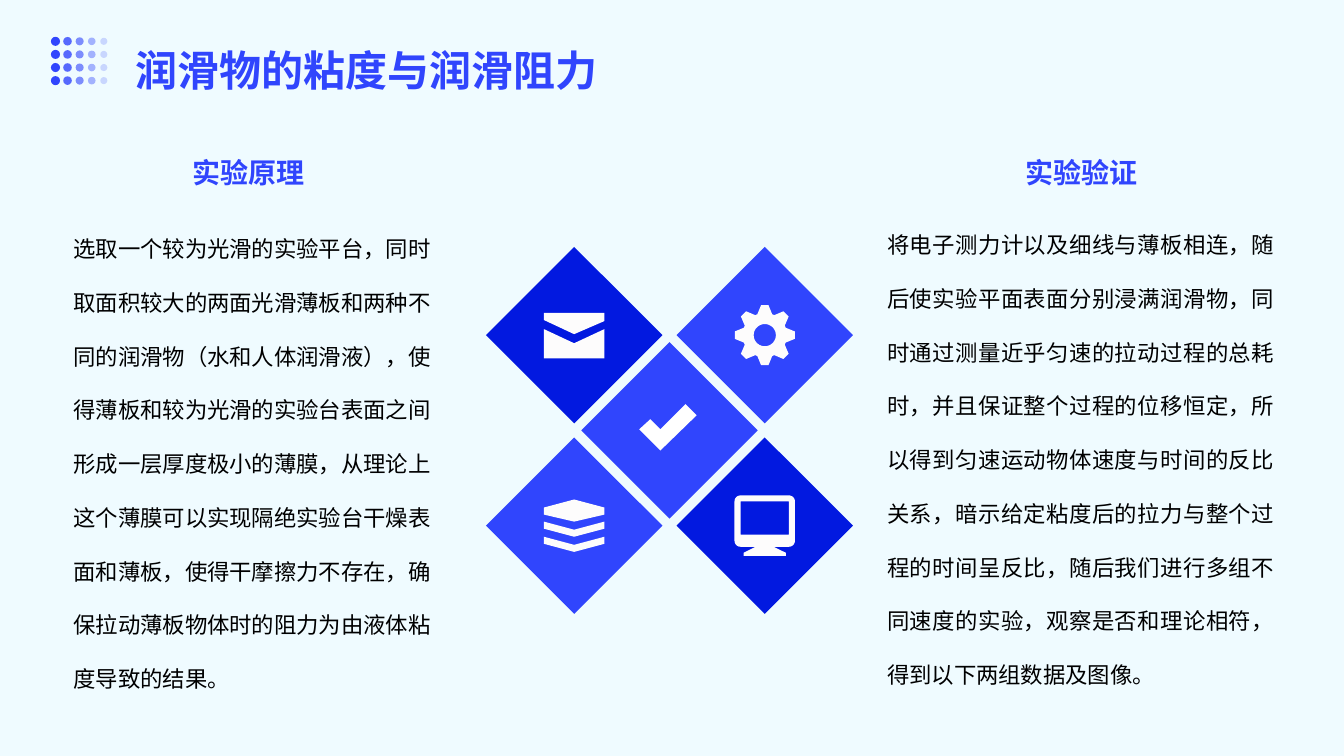
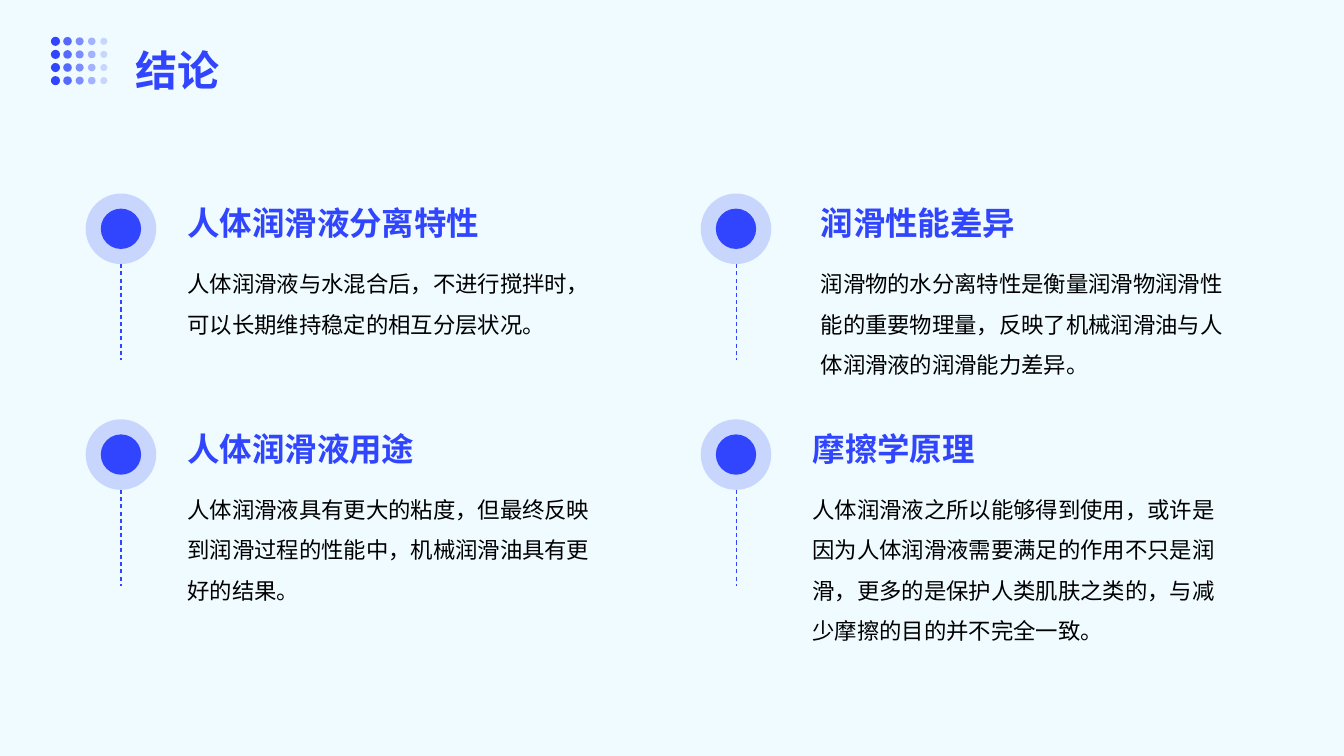
"""Build two slides on lubricant viscosity and the conclusions drawn from it."""
import math

from lxml import etree
from pptx import Presentation
from pptx import util as u
from pptx.dml.color import RGBColor
from pptx.enum import dml, shapes, text
from pptx.oxml.ns import qn

WIDTH, HEIGHT = 13.33, 7.5
FONT = "Noto Sans CJK SC"
BLUE, DEEP_BLUE, PALE, BLACK = "3045FD", "0219E0", "EFFBFF", "000000"
ICON_WHITE, WHITE = "FDFCFC", "FFFFFF"
WIDE_INSETS = (0.14, 0.14, 0.06, 0.14)
PLAIN_INSETS = (0.1, 0.05, 0.1, 0.05)
LEFT, CENTER, JUSTIFY = text.PP_ALIGN.LEFT, text.PP_ALIGN.CENTER, text.PP_ALIGN.JUSTIFY
TOP, MIDDLE = text.MSO_ANCHOR.TOP, text.MSO_ANCHOR.MIDDLE

EXPERIMENT_TITLE = "润滑物的粘度与润滑阻力"
EXPERIMENT_COLUMNS = [
    {"heading": "实验原理", "heading_left": 0.67, "box": (0.63, 2.02, 3.82, 4.87),
     "align": LEFT, "after": 0,
     "body": "选取一个较为光滑的实验平台，同时取面积较大的两面光滑薄板和两种不同的润滑物"
             "（水和人体润滑液），使得薄板和较为光滑的实验台表面之间形成一层厚度极小的薄膜，"
             "从理论上这个薄膜可以实现隔绝实验台干燥表面和薄板，使得干摩擦力不存在，"
             "确保拉动薄板物体时的阻力为由液体粘度导致的结果。"},
    {"heading": "实验验证", "heading_left": 8.93, "box": (8.7, 1.98, 4.04, 4.87),
     "align": JUSTIFY, "after": 10,
     "body": "将电子测力计以及细线与薄板相连，随后使实验平面表面分别浸满润滑物，"
             "同时通过测量近乎匀速的拉动过程的总耗时，并且保证整个过程的位移恒定，"
             "所以得到匀速运动物体速度与时间的反比关系，暗示给定粘度后的拉力与整个过程的时间呈反比，"
             "随后我们进行多组不同速度的实验，观察是否和理论相符，得到以下两组数据及图像。"},
]

CONCLUSION_TITLE = "结论"
CONCLUSIONS = [
    (0, 0, 1.72, "人体润滑液分离特性",
     "人体润滑液与水混合后，不进行搅拌时，可以长期维持稳定的相互分层状况。"),
    (0, 1, 1.72, "人体润滑液用途",
     "人体润滑液具有更大的粘度，但最终反映到润滑过程的性能中，机械润滑油具有更好的结果。"),
    (1, 0, 8.0, "润滑性能差异",
     "润滑物的水分离特性是衡量润滑物润滑性能的重要物理量，反映了机械润滑油与人体润滑液的润滑能力差异。"),
    (1, 1, 7.92, "摩擦学原理",
     "人体润滑液之所以能够得到使用，或许是因为人体润滑液需要满足的作用不只是润滑，"
     "更多的是保护人类肌肤之类的，与减少摩擦的目的并不完全一致。"),
]


def arc(radius, start, end, steps, center=(0, 0)):
    """Return points along an arc given in degrees."""
    angles = [math.radians(start + (end - start) * i / steps) for i in range(steps + 1)]
    return [(center[0] + radius * math.cos(a), center[1] + radius * math.sin(a)) for a in angles]


def gear_outline():
    """Return the outline of a gear with eight teeth."""
    profile = [(-7, 0.3), (7, 0.3), (19.5, 0.22), (25.5, 0.22)]
    return [arc(radius, 45 * tooth + angle, 0, 1)[0]
            for tooth in range(8) for angle, radius in profile]


def rectangle(left, top, right, bottom):
    """Return the corners of a rectangle."""
    return [(left, top), (right, top), (right, bottom), (left, bottom)]


def rounded_screen():
    """Return the rounded outline of a monitor."""
    corners = [(0.24, 0.15), (-0.24, 0.15), (-0.24, -0.24), (0.24, -0.24)]
    return [point for i, corner in enumerate(corners)
            for point in arc(0.06, 90 * i, 90 * i + 90, 6, corner)]


ENVELOPE = [[(0, -0.01), (0.3, -0.14), (0.3, -0.22), (-0.3, -0.22), (-0.3, -0.15)],
            [(0, 0.08), (-0.3, -0.06), (-0.3, 0.23), (0.3, 0.23), (0.3, -0.06)]]
STACK = [[(-0.3, y), (0, y + 0.08), (0.3, y), (0.3, y + 0.07), (0, y + 0.15), (-0.3, y + 0.07)]
         for y in (-0.04, 0.11)]
STACK.append([(-0.3, -0.18), (0, -0.26), (0.3, -0.18), (0.3, -0.11), (0, -0.04), (-0.3, -0.11)])
GEAR = [gear_outline(), arc(0.11, 360, 0, 36)]
MONITOR = [rounded_screen(), rectangle(-0.24, -0.24, 0.24, 0.09),
           [(-0.09, 0.21), (-0.21, 0.27), (-0.21, 0.3), (0.21, 0.3), (0.21, 0.27), (0.09, 0.21)]]
CHECK = [[(-0.19, -0.11), (-0.3, -0.01), (-0.09, 0.2), (0.27, -0.15), (0.16, -0.26), (-0.09, -0.01)]]
DIAMONDS = [
    (0, 0, BLUE, CHECK, WHITE),
    (-1, -1, DEEP_BLUE, ENVELOPE, ICON_WHITE),
    (1, 1, DEEP_BLUE, MONITOR, ICON_WHITE),
    (1, -1, BLUE, GEAR, ICON_WHITE),
    (-1, 1, BLUE, STACK, ICON_WHITE),
]


def color(value):
    """Turn a hex string into a colour."""
    return RGBColor.from_string(value)


def inches(*values):
    """Turn numbers into lengths in inches."""
    return [u.Inches(value) for value in values]


def paint(shape, fill, opacity=100):
    """Give a shape a plain fill without line or shadow."""
    shape.shadow.inherit = False
    shape.line.fill.background()
    shape.fill.solid()
    shape.fill.fore_color.rgb = color(fill)
    if opacity < 100:
        value = shape.fill._xPr.find(".//" + qn("a:srgbClr"))
        etree.SubElement(value, qn("a:alpha")).set("val", str(opacity * 1000))


def write(shape, content, size, ink=BLACK, bold=False, spacing=1.2, align=LEFT,
          anchor=TOP, insets=WIDE_INSETS, after=0):
    """Fill a shape with one formatted paragraph."""
    frame = shape.text_frame
    frame.text = content
    frame.word_wrap = True
    frame.auto_size = text.MSO_AUTO_SIZE.NONE
    frame.vertical_anchor = anchor
    (frame.margin_left, frame.margin_top,
     frame.margin_right, frame.margin_bottom) = inches(*insets)
    paragraph = frame.paragraphs[0]
    paragraph.alignment = align
    paragraph.line_spacing = spacing
    paragraph.space_before = u.Pt(0)
    paragraph.space_after = u.Pt(after)
    run = paragraph.runs[0]
    run.font.size = u.Pt(size)
    run.font.bold = bold
    run.font.name = FONT
    run.font.color.rgb = color(ink)
    properties = run._r.get_or_add_rPr()
    properties.set("lang", "zh-CN")
    etree.SubElement(properties, qn("a:ea")).set("typeface", FONT)


def add_text(slide, box, content, size, **style):
    """Add a text box."""
    write(slide.shapes.add_textbox(*inches(*box)), content, size, **style)


def add_centered(slide, kind, x, y, size, fill, opacity=100):
    """Add a preset shape around a centre point."""
    box = inches(x - size / 2, y - size / 2, size, size)
    paint(slide.shapes.add_shape(kind, *box), fill, opacity)


def add_icon(slide, x, y, contours, fill):
    """Add a freeform made of closed contours around a centre point."""
    builder = None
    for contour in contours:
        points = [inches(x + dx, y + dy) for dx, dy in contour]
        if builder is None:
            builder = slide.shapes.build_freeform(*points[0])
        else:
            builder.move_to(*points[0])
        builder.add_line_segments(points[1:], close=True)
    paint(builder.convert_to_shape(), fill)


def add_titled_slide(presentation, title):
    """Add a slide with the shared title and dot grid."""
    slide = presentation.slides.add_slide(presentation.slide_layouts[5])
    shape = slide.shapes.title
    shape.left, shape.top, shape.width, shape.height = inches(1.2, 0.1, 10.94, 1)
    write(shape, title, 30, ink=BLUE, bold=True, spacing=1.4)
    for row in range(4):
        for column in range(5):
            add_centered(slide, shapes.MSO_SHAPE.OVAL, 0.55 + 0.12 * column, 0.41 + 0.13 * row,
                         0.09 - 0.005 * column, BLUE, 100 - 20 * column)
    return slide


def build_experiment(presentation):
    """Build the slide with two text columns around the diamonds."""
    slide = add_titled_slide(presentation, EXPERIMENT_TITLE)
    for column, row, fill, icon, ink in DIAMONDS:
        x, y = 6.64 + 0.945 * column, 4.27 + 0.945 * row
        add_centered(slide, shapes.MSO_SHAPE.DIAMOND, x, y, 1.75, fill)
        add_icon(slide, x, y, icon, ink)
    for item in EXPERIMENT_COLUMNS:
        add_text(slide, (item["heading_left"], 1.37, 3.59, 0.61), item["heading"], 20, ink=BLUE,
                 bold=True, align=CENTER, anchor=MIDDLE, insets=PLAIN_INSETS)
        add_text(slide, item["box"], item["body"], 16, spacing=2, align=item["align"],
                 insets=PLAIN_INSETS, after=item["after"])


def build_conclusions(presentation):
    """Build the slide with four marked conclusions."""
    slide = add_titled_slide(presentation, CONCLUSION_TITLE)
    for column, row, left, heading, body in CONCLUSIONS:
        x, y = 1.2 + 6.1 * column, 2.27 + 2.24 * row
        add_centered(slide, shapes.MSO_SHAPE.OVAL, x, y, 0.7, BLUE, 20)
        add_centered(slide, shapes.MSO_SHAPE.OVAL, x, y, 0.4, BLUE)
        line = slide.shapes.add_connector(shapes.MSO_CONNECTOR.STRAIGHT,
                                          *inches(x, y + 0.35, x, y + 1.3))
        line.line.color.rgb = color(BLUE)
        line.line.width = u.Pt(0.75)
        line.line.dash_style = dml.MSO_LINE.DASH
        etree.SubElement(line._element.spPr, qn("a:effectLst"))
        add_text(slide, (left, y - 0.47, 5.1, 0.76), heading, 23.2, ink=BLUE, bold=True)
        lines = math.ceil(len(body) / 18)
        add_text(slide, (left, y + 0.14, 4.27, 0.22 + 0.405 * lines), body, 16, spacing=1.5)


def main():
    """Build and save the presentation."""
    presentation = Presentation()
    presentation.slide_width, presentation.slide_height = inches(WIDTH, HEIGHT)
    background = presentation.slide_master.background.fill
    background.solid()
    background.fore_color.rgb = color(PALE)
    build_experiment(presentation)
    build_conclusions(presentation)
    presentation.save("out.pptx")


if __name__ == "__main__":
    main()
